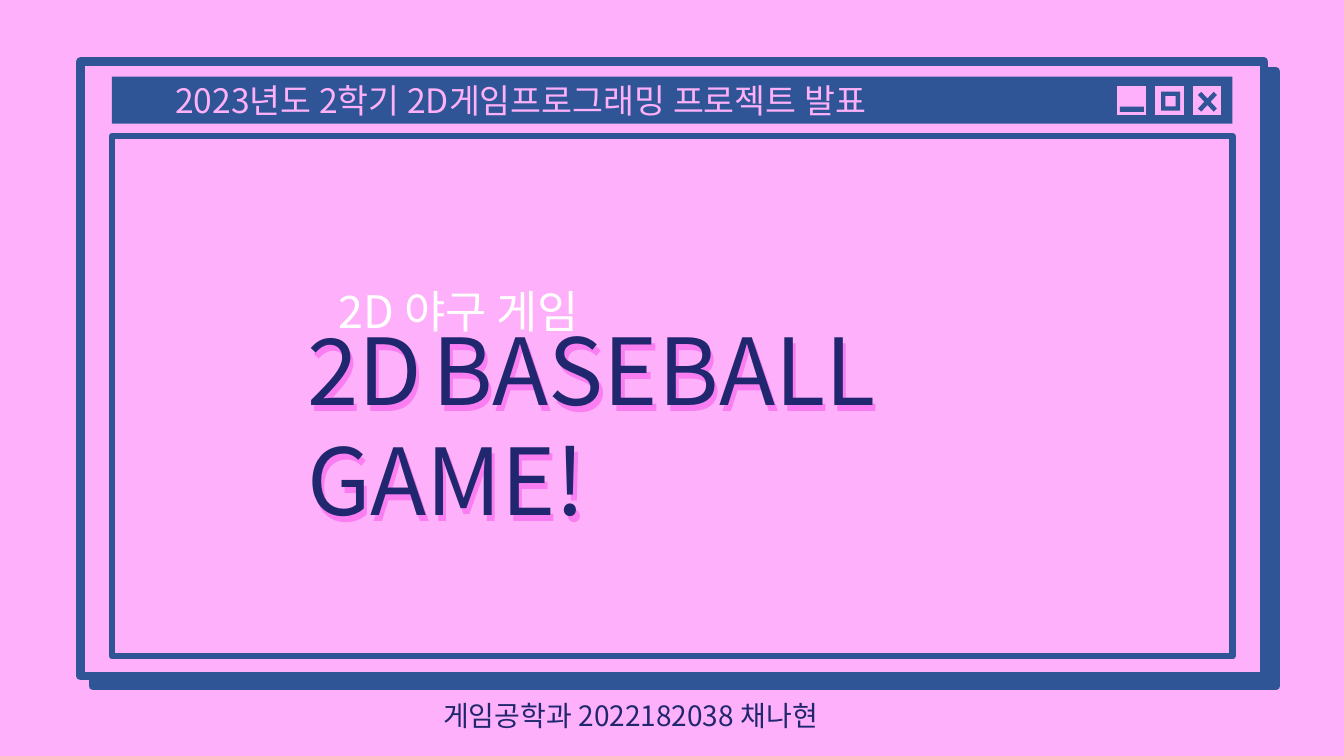
from dataclasses import dataclass

from lxml.etree import SubElement
from pptx import Presentation
from pptx.dml.color import RGBColor
from pptx.enum.shapes import MSO_SHAPE
from pptx.enum.text import MSO_ANCHOR, MSO_AUTO_SIZE, PP_ALIGN
from pptx.oxml.ns import qn
from pptx.util import Cm, Pt


@dataclass(frozen=True)
class Theme:
    pink: str = "FEB0FA"
    blue: str = "2F5597"
    edge: str = "325491"
    navy: str = "20276E"
    glow: str = "FB7DF2"
    white: str = "FFFFFF"
    font: str = "Noto Sans CJK KR"
    title: int = 66
    subtitle: int = 32
    bar: int = 24
    footer: int = 20
    leading: float = 1.19  # line pitch per point of type
    drop: float = 0.085  # extra top margin per point of type


@dataclass(frozen=True)
class Box:
    left: float
    top: float
    width: float
    height: float

    def emu(self) -> tuple:
        return Cm(self.left), Cm(self.top), Cm(self.width), Cm(self.height)


@dataclass(frozen=True)
class Panel:
    box: Box
    fill: str | None = None
    line: str | None = None
    weight: float = 0
    kind: MSO_SHAPE = MSO_SHAPE.RECTANGLE
    adj: float | None = None


@dataclass(frozen=True)
class Label:
    box: Box
    runs: tuple
    color: str


T = Theme()


def draw_panel(s, panel: Panel) -> None:
    sp = s.shapes.add_shape(panel.kind, *panel.box.emu())
    sp.shadow.inherit = False
    if panel.adj is not None:
        sp.adjustments[0] = panel.adj
    if panel.fill:
        sp.fill.solid()
        sp.fill.fore_color.rgb = RGBColor.from_string(panel.fill)
    else:
        sp.fill.background()
    if panel.line:
        sp.line.color.rgb = RGBColor.from_string(panel.line)
        sp.line.width = Pt(panel.weight)
    else:
        sp.line.fill.background()


def write_label(sp, label: Label) -> None:
    size = max(points for _, points in label.runs)
    tf = sp.text_frame
    frame = {
        "word_wrap": True,
        "auto_size": MSO_AUTO_SIZE.NONE,
        "vertical_anchor": MSO_ANCHOR.TOP,
        "margin_left": Cm(0.25),
        "margin_right": Cm(0.25),
        "margin_top": Cm(0.13) + Pt(T.drop * size),
        "margin_bottom": Cm(0.13),
    }
    for name, value in frame.items():
        setattr(tf, name, value)
    p = tf.paragraphs[0]
    paragraph = {
        "alignment": PP_ALIGN.LEFT,
        "line_spacing": Pt(T.leading * size),
        "space_before": Pt(0),
    }
    for name, value in paragraph.items():
        setattr(p, name, value)
    for text, points in label.runs:
        r = p.add_run()
        r.text = text
        for name, value in {"size": Pt(points), "bold": False, "name": T.font}.items():
            setattr(r.font, name, value)
        r.font.color.rgb = RGBColor.from_string(label.color)
        SubElement(r.font._element, qn("a:ea"), typeface=T.font)


def draw_label(s, label: Label) -> None:
    write_label(s.shapes.add_textbox(*label.box.emu()), label)


def draw_title(s, label: Label) -> None:
    sp = s.shapes.title
    sp.left, sp.top, sp.width, sp.height = label.box.emu()
    write_label(sp, label)
    s.shapes._spTree.append(sp._element)  # bring to the front


# Window: shadow, body, content frame, title bar
WINDOW = [
    Panel(Box(2.34, 1.8, 29.82, 15.49), T.blue, T.blue, 6),
    Panel(Box(2.03, 1.55, 29.82, 15.49), T.pink, T.blue, 6),
    Panel(Box(2.82, 3.43, 28.24, 13.11), None, T.blue, 4.5),
    Panel(Box(2.82, 1.93, 28.24, 1.19), T.blue),
]

# Window buttons and their signs
BUTTONS = [
    Panel(Box(28.14 + 0.95 * i, 2.16, 0.76, 0.76), T.pink, T.edge, 1)
    for i in range(3)
]
SIGNS = [
    Panel(Box(28.22, 2.69, 0.61, 0.13), T.blue),
    Panel(Box(29.26, 2.31, 0.48, 0.48), T.blue, kind=MSO_SHAPE.FRAME, adj=0.23),
    Panel(Box(30.05, 2.16, 0.76, 0.81), T.blue, kind=MSO_SHAPE.MATH_MULTIPLY, adj=0.15),
]

# Texts; the title is a front text over a lighter offset one
GAME_NAME = (
    ("2D", T.title), (" ", T.subtitle), ("BASEBALL", T.title),
    (" ", T.subtitle), ("GAME!", T.title),
)
LABELS = [
    Label(Box(4.17, 1.83, 19.76, 1.27),
          (("2023년도 2학기 2D게임프로그래밍 프로젝트 발표", T.bar),), T.pink),
    Label(Box(10.92, 17.42, 10.49, 1.12),
          (("게임공학과 2022182038 채나현", T.footer),), T.navy),
    Label(Box(8.28, 6.93, 7.34, 1.63), (("2D 야구 게임", T.subtitle),), T.white),
    Label(Box(7.57, 7.75, 19.28, 3.07), GAME_NAME, T.glow),
]
TITLE = Label(Box(7.49, 7.59, 19.28, 3.07), GAME_NAME, T.navy)


def main() -> None:
    prs = Presentation()
    prs.slide_width, prs.slide_height = Cm(33.87), Cm(19.05)
    s = prs.slides.add_slide(prs.slide_layouts[5])
    s.background.fill.solid()
    s.background.fill.fore_color.rgb = RGBColor.from_string(T.pink)
    for panel in WINDOW + BUTTONS + SIGNS:
        draw_panel(s, panel)
    for label in LABELS:
        draw_label(s, label)
    draw_title(s, TITLE)
    prs.save("out.pptx")


if __name__ == "__main__":
    main()
